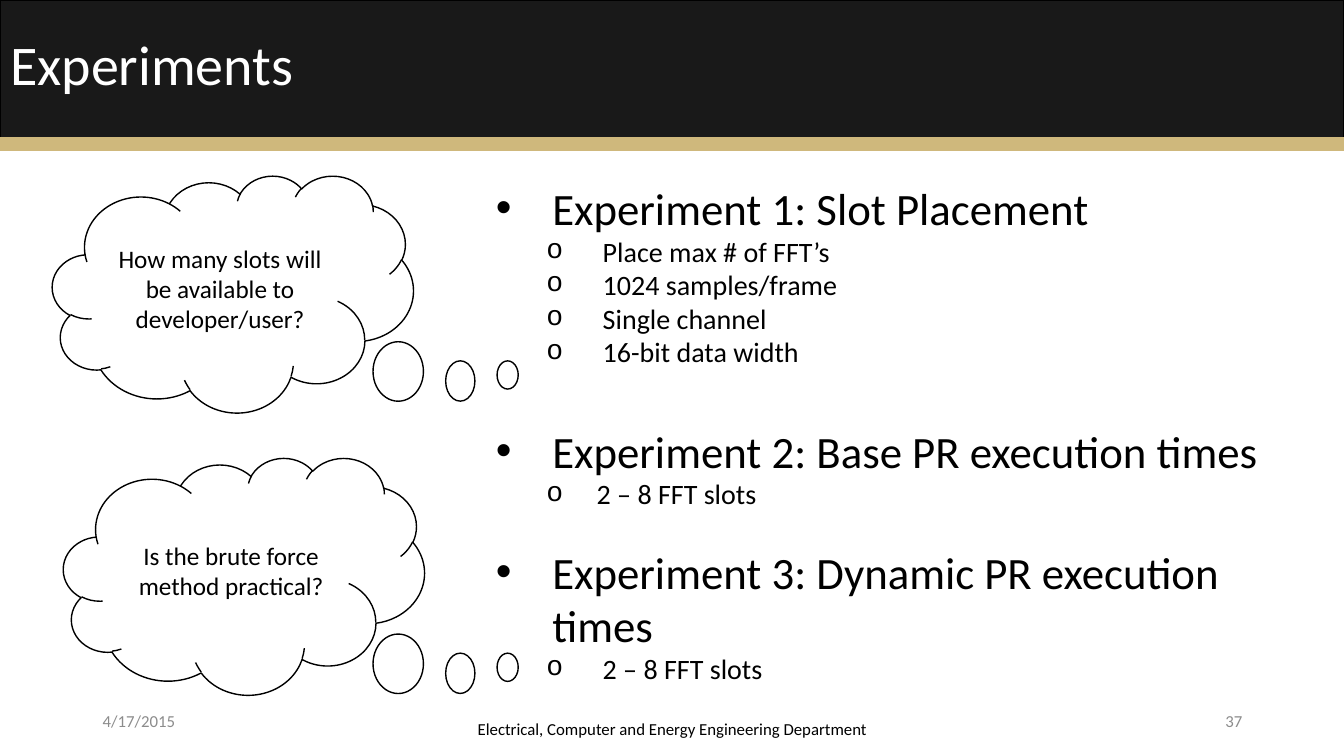
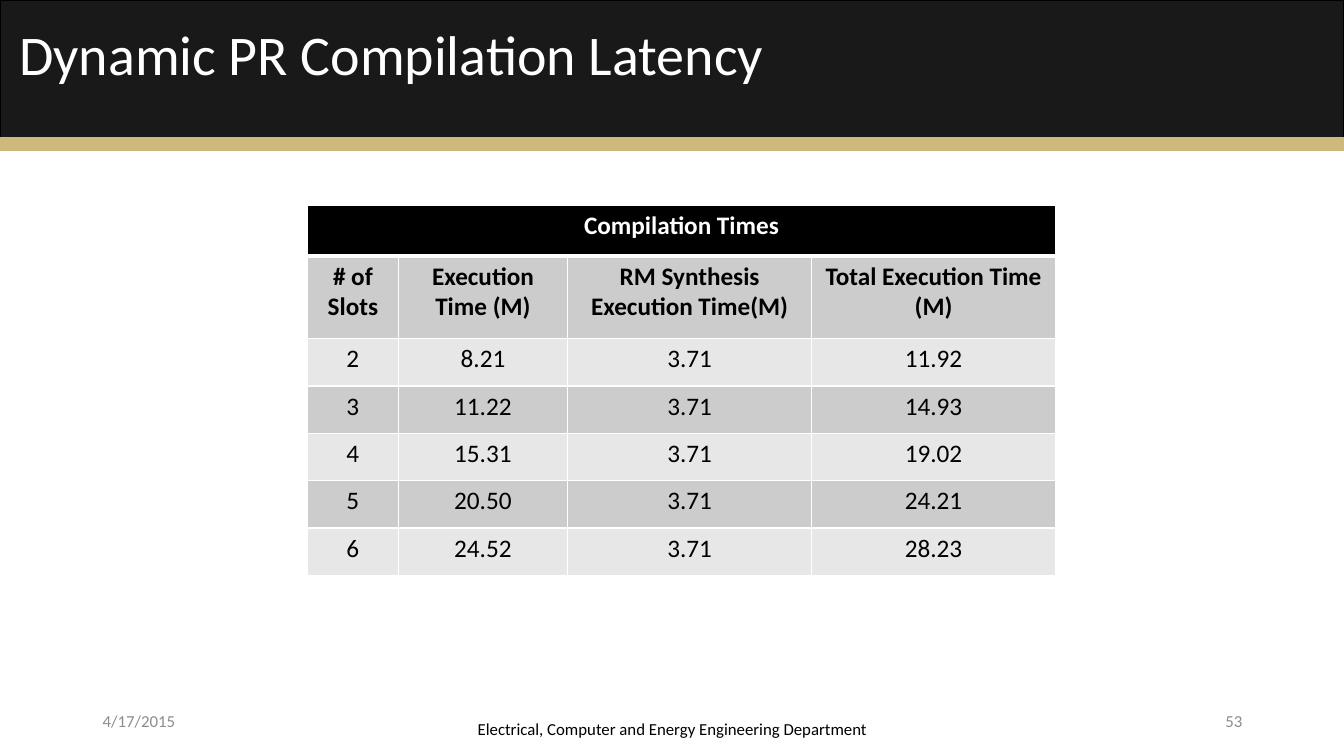
from lxml.etree import SubElement
from pptx import Presentation
from pptx.dml.color import RGBColor
from pptx.enum.shapes import MSO_SHAPE as SHAPE
from pptx.enum.text import MSO_ANCHOR as ANCHOR, MSO_AUTO_SIZE as AUTO, PP_ALIGN as ALIGN
from pptx.oxml.ns import qn
from pptx.util import Emu, Pt

SCALE = 9144  # EMU per px, 100 px to the inch
SLIDE_W, SLIDE_H = 1333, 750
FONT = "Calibri"
BLACK, WHITE = "000000", "FFFFFF"
CHARCOAL, GOLD, GREY = "191919", "CFB87C", "8C8C8C"
ROW_FILLS = ["E7E7E7", "CCCCCC"]
DATE = "4/17/2015"
DEPARTMENT = "Electrical, Computer and Energy Engineering Department"

# Bullet style: character, font, left margin, hanging indent, size
TOPIC = ("•", "Arial", 56, 56, 32)
POINT = ("o", "Courier New", 106, 56, 20)
NARROW_POINT = ("o", "Courier New", 100, 50, 20)

# Circles leading away from a cloud: left, top, width, height
TRAIL = [(0, 0, 50, 59), (72, 19, 29, 40), (123, 19, 21, 28)]


def px(n):
    return Emu(n * SCALE)


def box(*lengths):
    return [px(n) for n in lengths]


def rgb(color):
    return RGBColor.from_string(color)


def write(tf, text, size=12, color=BLACK, bold=False, align=ALIGN.LEFT, before=0):
    """Fill the first paragraph of a frame, or add one after the others."""
    p = tf.add_paragraph() if tf.text else tf.paragraphs[0]
    p.alignment = align
    p.space_before = Pt(before)
    r = p.add_run()
    r.text = text
    r.font.name, r.font.size, r.font.bold = FONT, Pt(size), bold
    r.font.color.rgb = rgb(color)
    return p


def add_bullet(tf, text, style, level=0, before=0):
    char, font, margin, hang, size = style
    p = write(tf, text, size=size, before=before)
    p.level = level
    pPr = p._p.get_or_add_pPr()
    pPr.set("marL", str(px(margin)))
    pPr.set("indent", str(px(-hang)))
    SubElement(pPr, qn("a:buFont")).set("typeface", font)
    SubElement(pPr, qn("a:buChar")).set("char", char)


def add_box(slide, left, top, width, height, anchor=ANCHOR.TOP):
    tf = slide.shapes.add_textbox(*box(left, top, width, height)).text_frame
    tf.word_wrap = True
    tf.vertical_anchor = anchor
    return tf


def add_shape(slide, kind, left, top, width, height, fill=WHITE, line=BLACK):
    sp = slide.shapes.add_shape(kind, *box(left, top, width, height))
    sp.shadow.inherit = False
    sp.fill.solid()
    sp.fill.fore_color.rgb = rgb(fill)
    sp.line.color.rgb = rgb(line)
    sp.line.width = Pt(1)
    return sp


def add_bands(layout, slide):
    """Draw the title bands and move them to the layout, behind every slide."""
    bands = [add_shape(slide, SHAPE.RECTANGLE, 0, 0, SLIDE_W, 146, CHARCOAL),
             add_shape(slide, SHAPE.RECTANGLE, 0, 137, SLIDE_W, 12, GOLD, GOLD)]
    for i, sp in enumerate(bands):
        sp._element.nvSpPr.cNvPr.set("id", str(100 + i))
        layout.shapes._spTree.insert(2 + i, sp._element)


def add_title(slide, text, left, top, width):
    title = slide.shapes.title
    title.left, title.top, title.width, title.height = box(left, top, width, 77)
    tf = title.text_frame
    tf.word_wrap = True
    tf.auto_size = AUTO.NONE
    tf.vertical_anchor = ANCHOR.TOP
    write(tf, text, size=40, color=WHITE)


def add_footer(slide, number):
    top = 695
    for text, left, width, height, color, align in [
            (DATE, 92, 300, 40, GREY, ALIGN.LEFT),
            (DEPARTMENT, 442, 450, 55, BLACK, ALIGN.CENTER),
            (str(number), 942, 300, 40, GREY, ALIGN.RIGHT)]:
        tf = add_box(slide, left, top, width, height, ANCHOR.MIDDLE)
        write(tf, text, color=color, align=align)


def add_thought(slide, text, left, top, trail_top):
    """Cloud with a question and its trail of circles."""
    cloud = add_shape(slide, SHAPE.CLOUD, left, top, 358, 235)
    tf = cloud.text_frame
    tf.word_wrap = True
    tf.vertical_anchor = ANCHOR.MIDDLE
    write(tf, text, size=18, align=ALIGN.CENTER)
    for dx, dy, width, height in TRAIL:
        add_shape(slide, SHAPE.OVAL, 370 + dx, trail_top + dy, width, height)


def add_experiments(slide, left, top, width, height):
    """Bulleted experiments; each has a gap above, a point style and points."""
    tf = add_box(slide, left, top, width, height)
    for heading, gap, style, points in [
            ("Experiment 1: Slot Placement", 0, POINT,
             ["Place max # of FFT’s", "1024 samples/frame", "Single channel",
              "16-bit data width"]),
            ("Experiment 2: Base PR execution times", 39, NARROW_POINT,
             ["2 – 8 FFT slots"]),
            ("Experiment 3: Dynamic PR execution times", 24, POINT,
             ["2 – 8 FFT slots"])]:
        add_bullet(tf, heading, TOPIC, before=gap)
        for point in points:
            add_bullet(tf, point, style, level=1)


def set_borders(cell, top=1, bottom=1):
    tcPr = cell._tc.get_or_add_tcPr()
    for i, (side, width) in enumerate([("L", 1), ("R", 1), ("T", top), ("B", bottom)]):
        ln = SubElement(tcPr, qn("a:ln" + side), w=str(Pt(width)))
        SubElement(SubElement(ln, qn("a:solidFill")), qn("a:srgbClr"), val=WHITE)
        tcPr.insert(i, ln)


def add_times_table(slide, left, top):
    synthesis = "3.71"
    rows = [["Compilation Times", "", "", ""],
            ["# of Slots", "Execution Time (M)", "RM Synthesis Execution Time(M)",
             "Total Execution Time (M)"]]
    rows += [[slots, run, synthesis, total] for slots, run, total in [
        ("2", "8.21", "11.92"), ("3", "11.22", "14.93"), ("4", "15.31", "19.02"),
        ("5", "20.50", "24.21"), ("6", "24.52", "28.23")]]
    widths = [90, 168, 242, 242]
    heights = [50, 82] + [47] * 5
    frame = slide.shapes.add_table(len(rows), len(widths),
                                   *box(left, top, sum(widths), sum(heights)))
    table = frame.table
    table.first_row = table.horz_banding = False
    for column, width in zip(table.columns, widths):
        column.width = px(width)
    for i, (row, height) in enumerate(zip(rows, heights)):
        table.rows[i].height = px(height)
        for j, text in enumerate(row):
            cell = table.cell(i, j)
            set_borders(cell, top=3 if i == 1 else 1, bottom=3 if i == 0 else 1)
            cell.fill.solid()
            cell.fill.fore_color.rgb = rgb(ROW_FILLS[i % 2] if i else BLACK)
            if text:
                write(cell.text_frame, text, size=18, color=BLACK if i else WHITE,
                      bold=i < 2, align=ALIGN.CENTER)
    table.cell(0, 0).merge(table.cell(0, len(widths) - 1))


def build_experiments(slide):
    add_title(slide, "Experiments", 0, 24, 964)
    add_footer(slide, 37)
    add_experiments(slide, 482, 174, 820, 515)
    add_thought(slide, "How many slots will be available to developer/user?",
                52, 174, 339)
    add_thought(slide, "Is the brute force method practical?", 63, 454, 629)


def build_latency(slide):
    add_title(slide, "Dynamic PR Compilation Latency", 9, 14, 835)
    add_footer(slide, 53)
    add_times_table(slide, 305, 204)


def main():
    prs = Presentation()
    prs.slide_width, prs.slide_height = box(SLIDE_W, SLIDE_H)
    layout = prs.slide_layouts[5]  # title only
    slides = [prs.slides.add_slide(layout) for _ in range(2)]
    add_bands(layout, slides[0])
    build_experiments(slides[0])
    build_latency(slides[1])
    prs.save("out.pptx")


if __name__ == "__main__":
    main()
